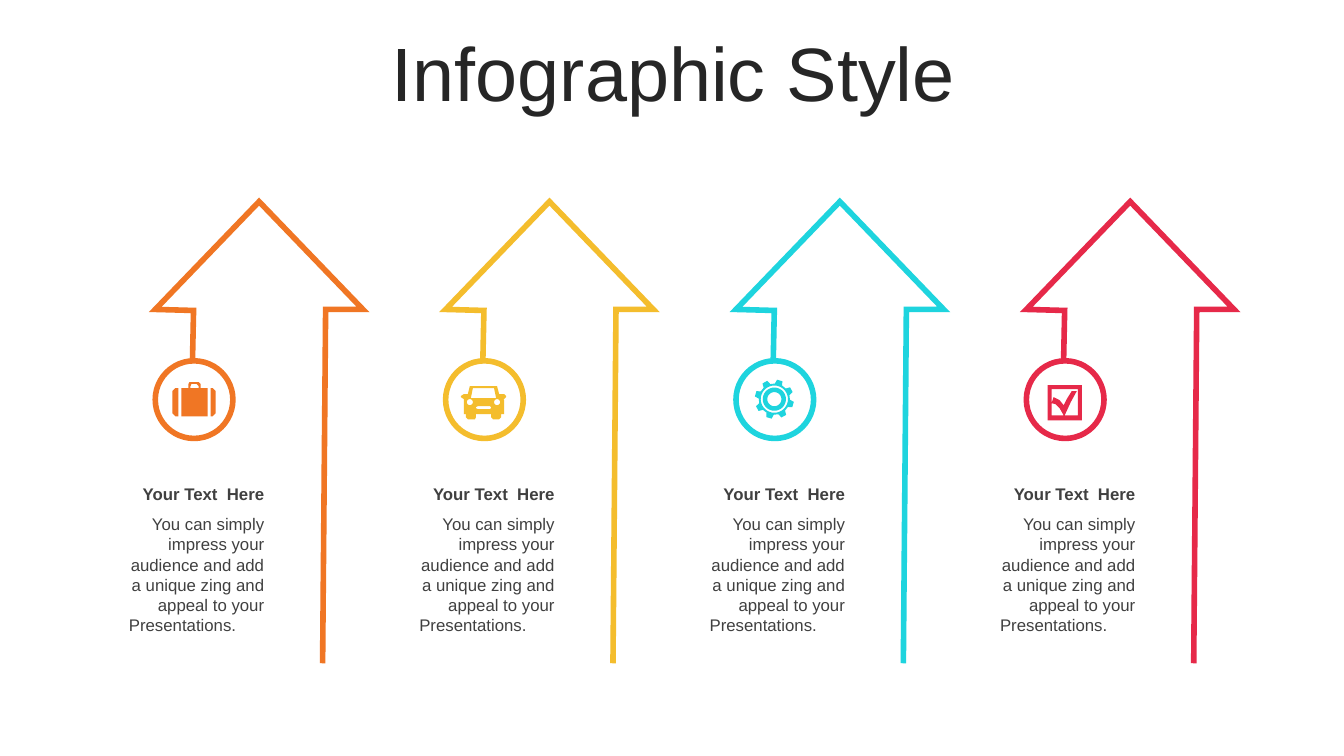
import math

import pptx
import pptx.dml.color
import pptx.enum.text
import pptx.oxml
import pptx.oxml.ns
import pptx.util

COLORS = {"title": "262626", "text": "404040", "white": "FFFFFF", "orange": "F07624",
          "yellow": "F4BD2D", "cyan": "1ED4DE", "red": "E62949"}
ALIGN = pptx.enum.text.PP_ALIGN
TITLE = {"size": pptx.util.Pt(54), "name": "Arial", "bold": False}
HEADING = {"size": pptx.util.Pt(12), "name": "Arial", "bold": True}
BODY = {"size": pptx.util.Pt(12), "name": "Arial", "bold": False}
PITCH = 2.88
ARROW = [(37, 156), (38, 108), (0, 107), (103, 0), (206, 107), (169, 107), (166, 458)]


def rgb(name):
    """Return the palette colour with the given name."""
    return pptx.dml.color.RGBColor.from_string(COLORS[name])


def polar(radius, degrees, cx=0, cy=0):
    """Return the point at a radius and angle around a centre."""
    angle = math.radians(degrees)
    return cx + radius * math.cos(angle), cy + radius * math.sin(angle)


def circle(radius, cx=0, cy=0):
    """Return a round contour."""
    return [polar(radius, a, cx, cy) for a in range(0, 360, 10)]


def gear_teeth():
    """Return the outline of an eight-toothed wheel."""
    tooth = [(15.5, -14), (19.5, -8), (19.5, 8), (15.5, 14)]
    return [polar(r, 45 * n - 74 + a) for n in range(8) for r, a in tooth]


BRIEFCASE = [
    [(17, -11), (19, -11), (22, -8), (22, 14), (19, 17), (17, 17)],
    [(-18, -11), (-15, -11), (-15, 17), (-18, 17), (-21, 14), (-21, -8)],
    [(-2, -15), (-3, -13), (-3, -11), (5, -11), (5, -13), (3, -15)],
    [(-4, -17), (5, -17), (7, -15), (7, -11), (14, -11), (14, 17), (-12, 17),
     (-12, -11), (-5, -11), (-5, -15)],
]
CAR = [
    [(-6, 7), (-8, 8), (-8, 9), (-6, 10), (6, 10), (7, 9), (7, 8), (6, 7)],
    circle(3, 13, 3),
    circle(3, -14, 3),
    [(-11, -11), (-13, -1), (12, -1), (10, -11)],
    [(-14, -13), (13, -13), (15, -5), (20, -5), (22, -3), (22, -2), (20, 0), (19, 0),
     (20, 1), (20, 15), (17, 15), (17, 18), (15, 20), (9, 20), (7, 18), (7, 15),
     (-8, 15), (-8, 18), (-9, 20), (-16, 20), (-18, 18), (-18, 15), (-20, 15),
     (-20, 0), (-23, -2), (-23, -3), (-20, -5), (-16, -5)],
]
GEAR = [gear_teeth(), circle(13.5), circle(11.5), circle(7)]
CHECKBOX = [
    [(-13, -10), (-13, 16), (-1, 16), (-5, 9), (-9, 5), (-13, 4), (-11, -2), (-5, 1),
     (-1, 6), (2, 0), (7, -8), (12, -8), (6, 3), (0, 16), (13, 16), (13, -10)],
    [(-17, -14), (17, -14), (17, 21), (-17, 21)],
]
COLUMNS = [("orange", BRIEFCASE), ("yellow", CAR), ("cyan", GEAR), ("red", CHECKBOX)]


def set_font(p, fmt, color):
    """Apply a dict of font values and a colour to a paragraph's runs."""
    for r in p.runs:
        for key, value in fmt.items():
            setattr(r.font, key, value)
        r.font.color.rgb = rgb(color)


def add_outline(slide, left, top, contours, closed=True):
    """Draw contours given in hundredths of an inch from an origin."""
    scaled = [[(pptx.util.Inches(x / 100), pptx.util.Inches(y / 100)) for x, y in c]
              for c in contours]
    builder = slide.shapes.build_freeform(*scaled[0][0])
    for n, points in enumerate(scaled):
        if n:
            builder.move_to(*points[0])
        builder.add_line_segments(points[1:], close=closed)
    sp = builder.convert_to_shape(pptx.util.Inches(left), pptx.util.Inches(top))
    sp.shadow.inherit = False
    return sp


def set_line(sp, color):
    """Give a shape a thick line with sharp corners."""
    sp.line.color.rgb = rgb(color)
    sp.line.width = pptx.util.Pt(4)
    miter = pptx.oxml.parse_xml(
        f'<a:miter {pptx.oxml.ns.nsdecls("a")} lim="800000"/>')
    sp.line._get_or_add_ln().append(miter)


def add_text(slide, box, lines, fmt):
    """Add a text box with one paragraph per text and alignment pair."""
    sp = slide.shapes.add_textbox(*map(pptx.util.Inches, box))
    tf = sp.text_frame
    tf.word_wrap = True
    tf.auto_size = pptx.enum.text.MSO_AUTO_SIZE.SHAPE_TO_FIT_TEXT
    for n, (text, align) in enumerate(lines):
        p = tf.add_paragraph() if n else tf.paragraphs[0]
        p.text, p.alignment = text, align
        if align == ALIGN.LEFT:
            p._p.get_or_add_pPr().set("marL", str(pptx.util.Inches(0.08)))
        set_font(p, fmt, "text")


def add_title(slide, box, text):
    """Place the slide title in its placeholder."""
    sp = slide.shapes.title
    sp.left, sp.top, sp.width, sp.height = map(pptx.util.Inches, box)
    tf = sp.text_frame
    tf.text = text
    tf.vertical_anchor = pptx.enum.text.MSO_ANCHOR.MIDDLE
    tf.auto_size = pptx.enum.text.MSO_AUTO_SIZE.NONE
    p = tf.paragraphs[0]
    p.alignment, p.line_spacing = ALIGN.CENTER, 0.9
    set_font(p, TITLE, "title")


def add_column(slide, left, top, color, icon):
    """Draw an arrow with its badge, icon and texts."""
    arrow = add_outline(slide, left + 0.44, top, [ARROW], closed=False)
    arrow.fill.background()
    set_line(arrow, color)
    badge = slide.shapes.add_shape(
        pptx.enum.shapes.MSO_SHAPE.OVAL,
        *map(pptx.util.Inches, (left + 0.44, top + 1.58, 0.77, 0.77)))
    badge.shadow.inherit = False
    badge.fill.solid()
    badge.fill.fore_color.rgb = rgb("white")
    set_line(badge, color)
    sp = add_outline(slide, left + 0.82, top + 1.96, icon)
    sp.fill.solid()
    sp.fill.fore_color.rgb = rgb(color)
    sp.line.fill.background()
    add_text(slide, (left, top + 2.75, 1.62, 0.3),
             [("Your Text  Here", ALIGN.RIGHT)], HEADING)
    add_text(slide, (left, top + 3.05, 1.62, 1.31),
             [("You can simply impress your audience and add a unique zing "
               "and appeal to your", ALIGN.RIGHT),
              ("Presentations.", ALIGN.LEFT)], BODY)


def main():
    """Build the slide and save it."""
    prs = pptx.Presentation()
    prs.slide_width, prs.slide_height = pptx.util.Inches(13.33), pptx.util.Inches(7.5)
    slide = prs.slides.add_slide(prs.slide_layouts[5])
    add_title(slide, (0.35, 0.37, 12.66, 0.79), "Infographic Style")
    for n, (color, icon) in enumerate(COLUMNS):
        add_column(slide, 1.1 + n * PITCH, 2, color, icon)
    prs.save("out.pptx")


if __name__ == "__main__":
    main()
